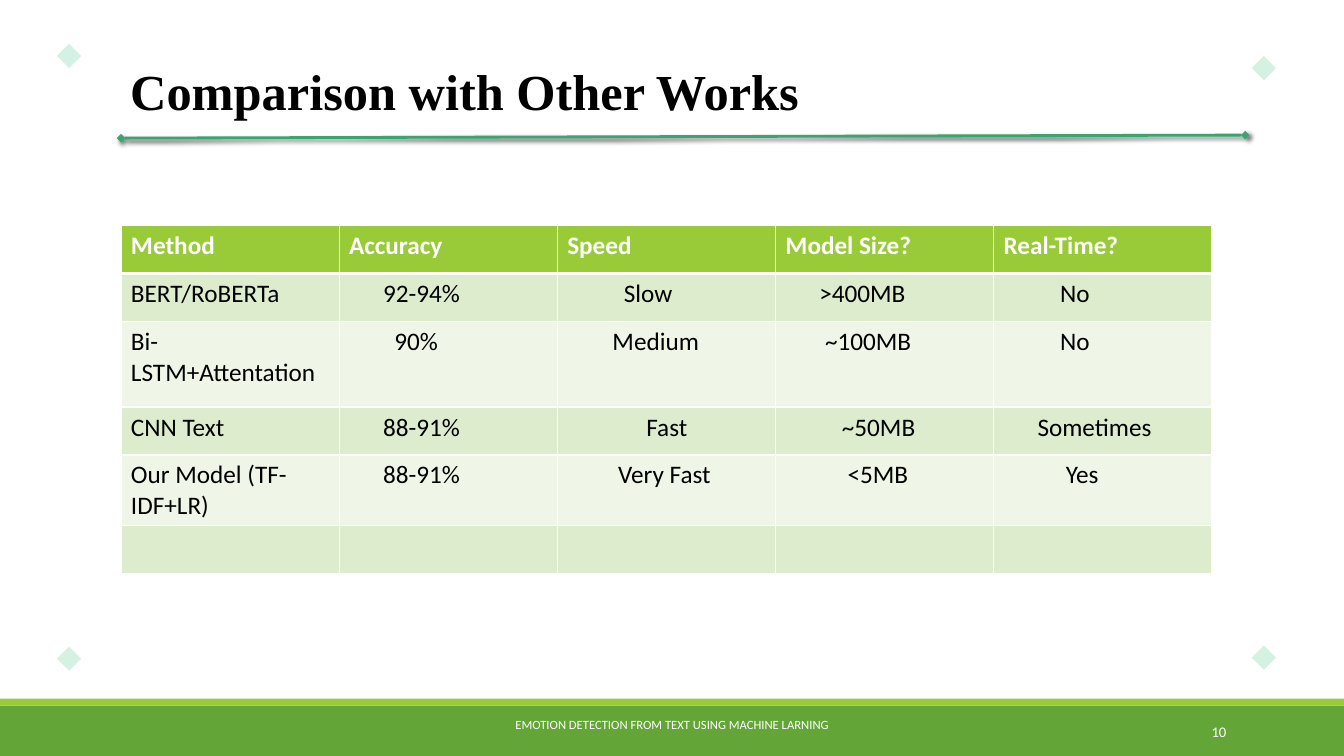
"""Build the slide comparing emotion detection methods."""
from dataclasses import dataclass
from typing import Any, NamedTuple

from lxml.etree import SubElement
from pptx import Presentation
from pptx.dml.color import RGBColor
from pptx.enum.shapes import MSO_CONNECTOR, MSO_SHAPE
from pptx.enum.text import MSO_ANCHOR, MSO_AUTO_SIZE, PP_ALIGN
from pptx.oxml.ns import qn
from pptx.util import Emu, Inches, Pt

HUES = {
    "green": "63A537", "lime": "99CB38", "teal": "37A76F", "mint": "D4F1E2",
    "odd": "DEECCE", "even": "EFF6E8", "white": "FFFFFF", "black": "000000",
}
WIDE, HIGH = Inches(13.33), Inches(7.5)
STEP = 0.42
INSET = 0.75


@dataclass(frozen=True)
class Box:
    """Place and size in percent of the slide."""
    left: float
    top: float
    width: float
    height: float

    def emus(self) -> tuple[Emu, Emu, Emu, Emu]:
        return across(self.left), down(self.top), across(self.width), down(self.height)


@dataclass(frozen=True)
class Block:
    """Filled rectangle."""
    box: Box
    hue: str
    turn: float = 0


class Entry(NamedTuple):
    """Table text with its indent in steps."""
    text: str
    steps: int = 0


@dataclass(frozen=True)
class Row:
    """Table row with its height in percent of the slide."""
    height: float
    hue: str
    cells: tuple[Entry, ...]


HEADS = ("Method", "Accuracy", "Speed", "Model Size?", "Real-Time?")
ROWS = (
    Row(6.33, "lime", tuple(Entry(head) for head in HEADS)),
    Row(6.33, "odd", (Entry("BERT/RoBERTa"), Entry("92-94%", 6), Entry("Slow", 10),
                      Entry(">400MB", 6), Entry("No", 10))),
    Row(11.33, "even", (Entry("Bi-LSTM+Attentation"), Entry("90%", 8),
                        Entry("Medium", 8), Entry("~100MB", 7), Entry("No", 10))),
    Row(6.33, "odd", (Entry("CNN Text"), Entry("88-91%", 6), Entry("Fast", 14),
                      Entry("~50MB", 10), Entry("Sometimes", 6))),
    Row(9.2, "even", (Entry("Our Model (TF-IDF+LR)"), Entry("88-91%", 6),
                      Entry("Very Fast", 9), Entry("<5MB", 11), Entry("Yes", 11))),
    Row(6.33, "odd", (Entry(""),) * len(HEADS)),
)
BANDS = (
    Block(Box(0, 93.33, 100, 6.67), "green"),
    Block(Box(0, 92.4, 100, 0.93), "lime"),
    Block(Box(0, 97.73, 100, 2.27), "green"),
)
GEMS = tuple(
    Block(Box(left, top, 1.28, 2.27), "mint", 45)
    for left, top in ((93.4, 7.87), (4.5, 6.27), (4.5, 86), (93.4, 85.87))
)


def across(share: float) -> Emu:
    return Emu(round(WIDE * share / 100))


def down(share: float) -> Emu:
    return Emu(round(HIGH * share / 100))


def tint(hue: str) -> RGBColor:
    return RGBColor.from_string(HUES[hue])


def apply(thing: Any, form: dict[str, Any]) -> None:
    for name, value in form.items():
        setattr(thing, name, value)


def write(frame: Any, text: str, hue: str, form: dict[str, Any],
          align: PP_ALIGN = PP_ALIGN.LEFT) -> None:
    para = frame.paragraphs[0]
    para.alignment = align
    run = para.add_run()
    run.text = text
    apply(run.font, form)
    run.font.color.rgb = tint(hue)


def draw_block(slide: Any, block: Block) -> None:
    shape = slide.shapes.add_shape(MSO_SHAPE.RECTANGLE, *block.box.emus())
    shape.shadow.inherit = False
    shape.rotation = block.turn
    shape.fill.solid()
    shape.fill.fore_color.rgb = tint(block.hue)
    shape.line.fill.background()


def draw_note(slide: Any, box: Box, text: str, size: float, align: PP_ALIGN,
              foot: float) -> None:
    frame = slide.shapes.add_textbox(*box.emus()).text_frame
    apply(frame, {"word_wrap": True, "vertical_anchor": MSO_ANCHOR.MIDDLE,
                  "margin_bottom": down(foot)})
    write(frame, text, "white", {"size": Pt(size), "name": "Calibri"}, align)


def draw_title(slide: Any) -> None:
    title = slide.shapes.title
    place = Box(8.93, 7.33, 51.76, 9.47).emus()
    apply(title, dict(zip(("left", "top", "width", "height"), place)))
    apply(title.text_frame, {"word_wrap": False, "vertical_anchor": MSO_ANCHOR.TOP,
                             "auto_size": MSO_AUTO_SIZE.SHAPE_TO_FIT_TEXT})
    write(title.text_frame, "Comparison with Other Works", "black",
          {"size": Pt(36), "name": "Times New Roman", "bold": True})


def draw_rule(slide: Any) -> None:
    rule = slide.shapes.add_connector(
        MSO_CONNECTOR.STRAIGHT, across(9), down(18.27), across(92.65), down(17.87))
    rule.line.color.rgb = tint("teal")
    rule.line.width = Pt(2)
    line = rule.line._get_or_add_ln()
    for end in ("a:headEnd", "a:tailEnd"):
        SubElement(line, qn(end), type="diamond")
    effect = SubElement(rule._element.spPr, qn("a:effectLst"))
    shade = SubElement(effect, qn("a:outerShdw"), blurRad=str(Pt(3)),
                       dist=str(Pt(2)), dir=str(45 * 60000), rotWithShape="0")
    color = SubElement(shade, qn("a:srgbClr"), val=HUES["black"])
    SubElement(color, qn("a:alpha"), val="60000")


def edge(cell: Any, side: str, width: float) -> None:
    line = SubElement(cell._tc.get_or_add_tcPr(), qn(f"a:ln{side}"), w=str(Pt(width)))
    fill = SubElement(line, qn("a:solidFill"))
    SubElement(fill, qn("a:srgbClr"), val=HUES["white"])


def draw_table(slide: Any) -> None:
    box = Box(9, 29.87, 81.17, sum(row.height for row in ROWS))
    table = slide.shapes.add_table(len(ROWS), len(HEADS), *box.emus()).table
    for col in table.columns:
        col.width = across(box.width / len(HEADS))
    for r, row in enumerate(ROWS):
        table.rows[r].height = down(row.height)
        for c, entry in enumerate(row.cells):
            cell = table.cell(r, c)
            cell.margin_left = across(INSET + STEP * entry.steps)
            for side in "LRTB":
                thick = (r, side) in ((0, "B"), (1, "T"))
                edge(cell, side, 3 if thick else 1)
            cell.fill.solid()
            cell.fill.fore_color.rgb = tint(row.hue)
            if entry.text:
                write(cell.text_frame, entry.text, "black" if r else "white",
                      {"size": Pt(18), "name": "Calibri", "bold": r == 0})


def main() -> None:
    deck = Presentation()
    apply(deck, {"slide_width": WIDE, "slide_height": HIGH})
    slide = deck.slides.add_slide(deck.slide_layouts[5])
    for band in BANDS:
        draw_block(slide, band)
    draw_note(slide, Box(30.23, 94.13, 39.53, 5.33),
              "EMOTION DETECTION FROM TEXT USING MACHINE LARNING", 9, PP_ALIGN.CENTER, 2.53)
    draw_note(slide, Box(81.25, 94.13, 10.73, 5.33), "10", 10.5, PP_ALIGN.RIGHT, 0.67)
    draw_rule(slide)
    draw_title(slide)
    for gem in GEMS:
        draw_block(slide, gem)
    draw_table(slide)
    deck.save("out.pptx")


if __name__ == "__main__":
    main()
